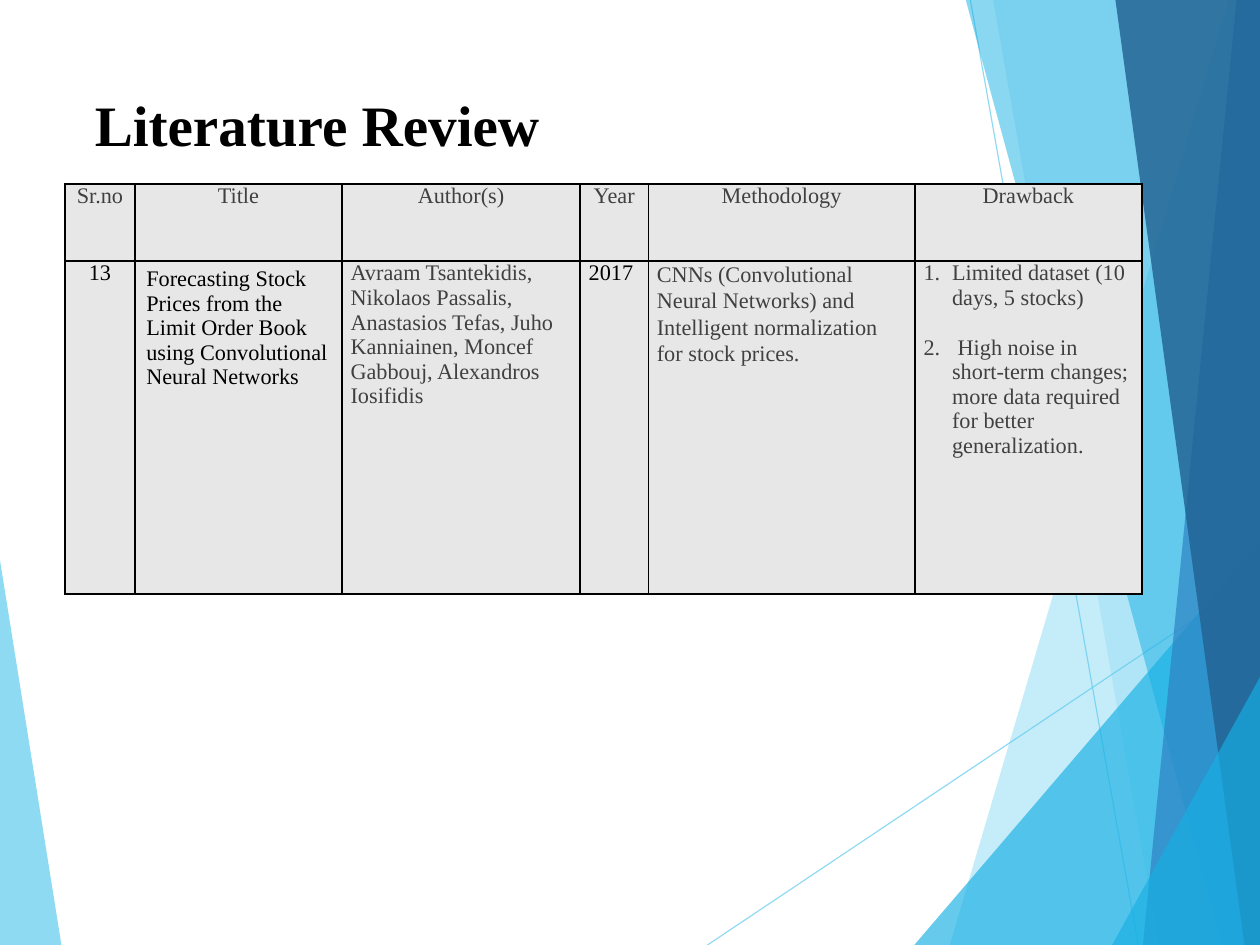
from pptx import Presentation
from pptx.dml.color import RGBColor
from pptx.enum import shapes, text
from pptx.oxml import ns, xmlchemy as xml
from pptx.util import Pt

WIDE, HIGH = 793.75, 595.25
FACE = "Times New Roman"
BLACK = RGBColor(0x00, 0x00, 0x00)
DARK = RGBColor(0x40, 0x40, 0x40)
GREY = RGBColor(0xE7, 0xE7, 0xE7)
SKY = RGBColor(0x5F, 0xCB, 0xEF)
CYAN = RGBColor(0x17, 0xB0, 0xE4)
BLUE = RGBColor(0x2E, 0x83, 0xC3)
NAVY = RGBColor(0x22, 0x62, 0x92)

FOOT, HEAD = (WIDE, HIGH), (WIDE, 0)
RAYS = [((445.7, HIGH), (WIDE, 362.5)), ((611.3, 0), (717.1, HIGH))]
LEFT = (SKY, 70, [(0, 353), (38.7, HIGH), (0, HIGH)])
PANES = [
    (SKY, 36, [(774, 0), (598.3, HIGH), FOOT, HEAD]),
    (SKY, 20, [(625.7, 0), (730, HIGH), FOOT, HEAD]),
    (CYAN, 66, [(576, HIGH), (WIDE, 341), FOOT]),
    (CYAN, 50, [(608.4, 0), (769.7, HIGH), FOOT, HEAD]),
    (BLUE, 70, [(779, 0), (720, HIGH), FOOT, HEAD]),
    (NAVY, 82, [(702.7, 0), (784, HIGH), FOOT, HEAD]),
    (CYAN, 66, [(700.6, HIGH), (WIDE, 426.5), FOOT]),
]

COLS = [44, 130.5, 150, 43, 168, 143]
ROWS = [48.5, 209.75]
HEADS = ["Sr.no", "Title", "Author(s)", "Year", "Methodology", "Drawback"]
STUDY = [
    "13",
    "Forecasting Stock Prices from the Limit Order Book using "
    "Convolutional Neural Networks",
    "Avraam Tsantekidis, Nikolaos Passalis, Anastasios Tefas, "
    "Juho Kanniainen, Moncef Gabbouj, Alexandros Iosifidis",
    "2017",
    "CNNs (Convolutional Neural Networks) and Intelligent normalization "
    "for stock prices.",
    "Limited dataset (10 days, 5 stocks)\n"
    " High noise in short-term changes; more data required for better "
    "generalization.",
]
INKS = [BLACK, BLACK, DARK, BLACK, DARK, DARK]


def add(parent, tag, **attrs):
    node = xml.OxmlElement(tag)
    for key, val in attrs.items():
        node.set(key, str(val))
    parent.append(node)
    return node


def fade(shape, share):
    """Set the opacity, in percent, of every colour in the shape."""
    for tone in shape._element.spPr.iter(ns.qn("a:srgbClr")):
        add(tone, "a:alpha", val=share * 1000)


def add_pane(slide, tone, share, dots):
    dots = [(Pt(x), Pt(y)) for x, y in dots]
    form = slide.shapes.build_freeform(*dots[0])
    form.add_line_segments(dots[1:], close=True)
    pane = form.convert_to_shape()
    pane.shadow.inherit = False
    pane.fill.solid()
    pane.fill.fore_color.rgb = tone
    pane.line.fill.background()
    fade(pane, share)


def add_ray(slide, start, end):
    ends = [Pt(n) for n in start + end]
    ray = slide.shapes.add_connector(shapes.MSO_CONNECTOR.STRAIGHT, *ends)
    ray.line.color.rgb = SKY
    ray.line.width = Pt(0.75)
    fade(ray, 70)
    add(ray._element.spPr, "a:effectLst")


def style(para, size, ink, bold=False):
    for run in para.runs:
        font = run.font
        font.name, font.size, font.bold = FACE, Pt(size), bold
        font.color.rgb = ink


def set_title(slide, words):
    title = slide.shapes.title
    title.left, title.top = Pt(52.5), Pt(52.5)
    title.width, title.height = Pt(551), Pt(114.5)
    frame = title.text_frame
    frame.text = words
    frame.word_wrap = True
    frame.auto_size = text.MSO_AUTO_SIZE.NONE
    frame.vertical_anchor = text.MSO_ANCHOR.TOP
    para = frame.paragraphs[0]
    para.alignment = text.PP_ALIGN.LEFT
    style(para, 36, BLACK, True)


def frame_cell(cell):
    """Draw the four borders, then the fill."""
    props = cell._tc.get_or_add_tcPr()
    for side in "LRTB":
        line = add(props, f"a:ln{side}", w=Pt(1))
        add(add(line, "a:solidFill"), "a:srgbClr", val=BLACK)
    cell.fill.solid()
    cell.fill.fore_color.rgb = GREY


def fill_cell(cell, words, ink, mid):
    frame_cell(cell)
    cell.margin_left = cell.margin_right = Pt(5.4)
    cell.margin_top = cell.margin_bottom = 0
    cell.text_frame.text = words
    for para in cell.text_frame.paragraphs:
        para.alignment = text.PP_ALIGN.CENTER if mid else text.PP_ALIGN.LEFT
        style(para, 14, ink)


def number(frame):
    for para in frame.paragraphs:
        props = para._p.get_or_add_pPr()
        props.set("marL", str(Pt(18)))
        props.set("indent", str(-Pt(18)))
        add(props, "a:buFont", typeface=FACE)
        add(props, "a:buAutoNum", type="arabicPeriod")
    for para in frame.paragraphs[1:]:
        para.space_before = Pt(15.75)


def add_review(slide):
    grid = slide.shapes.add_table(
        len(ROWS), len(COLS), Pt(41), Pt(116),
        Pt(sum(COLS)), Pt(sum(ROWS))).table
    grid.first_row = grid.horz_banding = False
    for col, wide in zip(grid.columns, COLS):
        col.width = Pt(wide)
    for row, high in zip(grid.rows, ROWS):
        row.height = Pt(high)
    for i, (head, words, ink) in enumerate(zip(HEADS, STUDY, INKS)):
        fill_cell(grid.cell(0, i), head, DARK, True)
        fill_cell(grid.cell(1, i), words, ink, i == 0)

    name = grid.cell(1, 1)
    name.margin_left = name.margin_right = Pt(7.2)
    name.margin_top = name.margin_bottom = Pt(3.6)
    grid.cell(1, 4).text_frame.paragraphs[0].line_spacing = 1.07
    number(grid.cell(1, 5).text_frame)


def main():
    deck = Presentation()
    deck.slide_width, deck.slide_height = Pt(WIDE), Pt(HIGH)
    slide = deck.slides.add_slide(deck.slide_layouts[5])
    add_pane(slide, *LEFT)
    for ray in RAYS:
        add_ray(slide, *ray)
    for pane in PANES:
        add_pane(slide, *pane)
    set_title(slide, "Literature Review")
    add_review(slide)
    deck.save("out.pptx")


if __name__ == "__main__":
    main()
